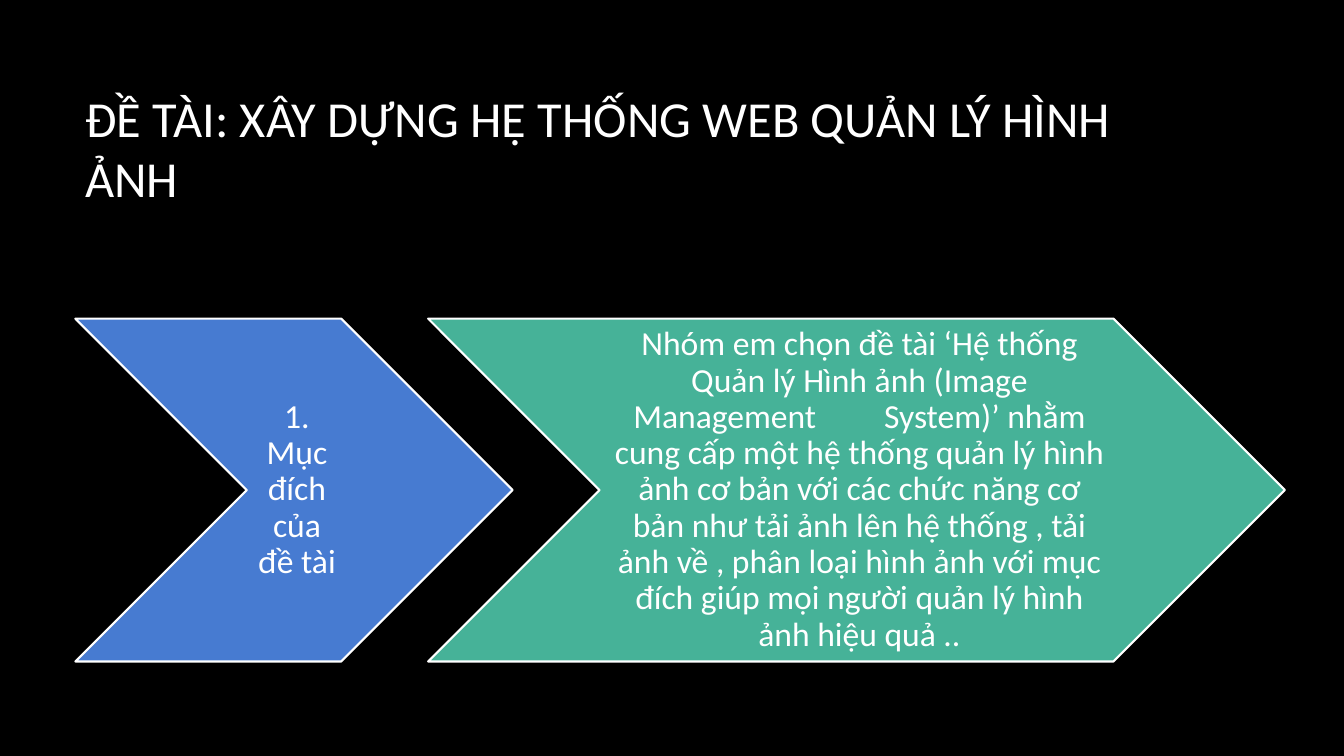
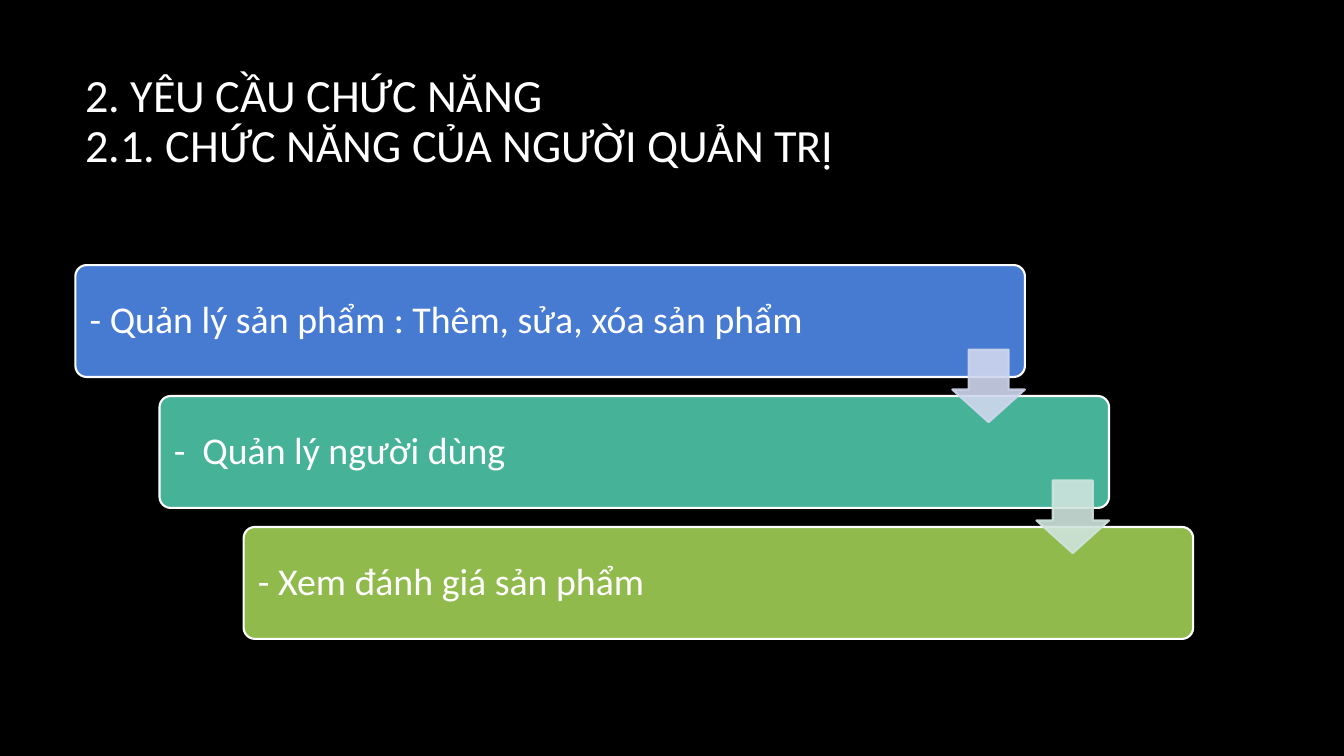
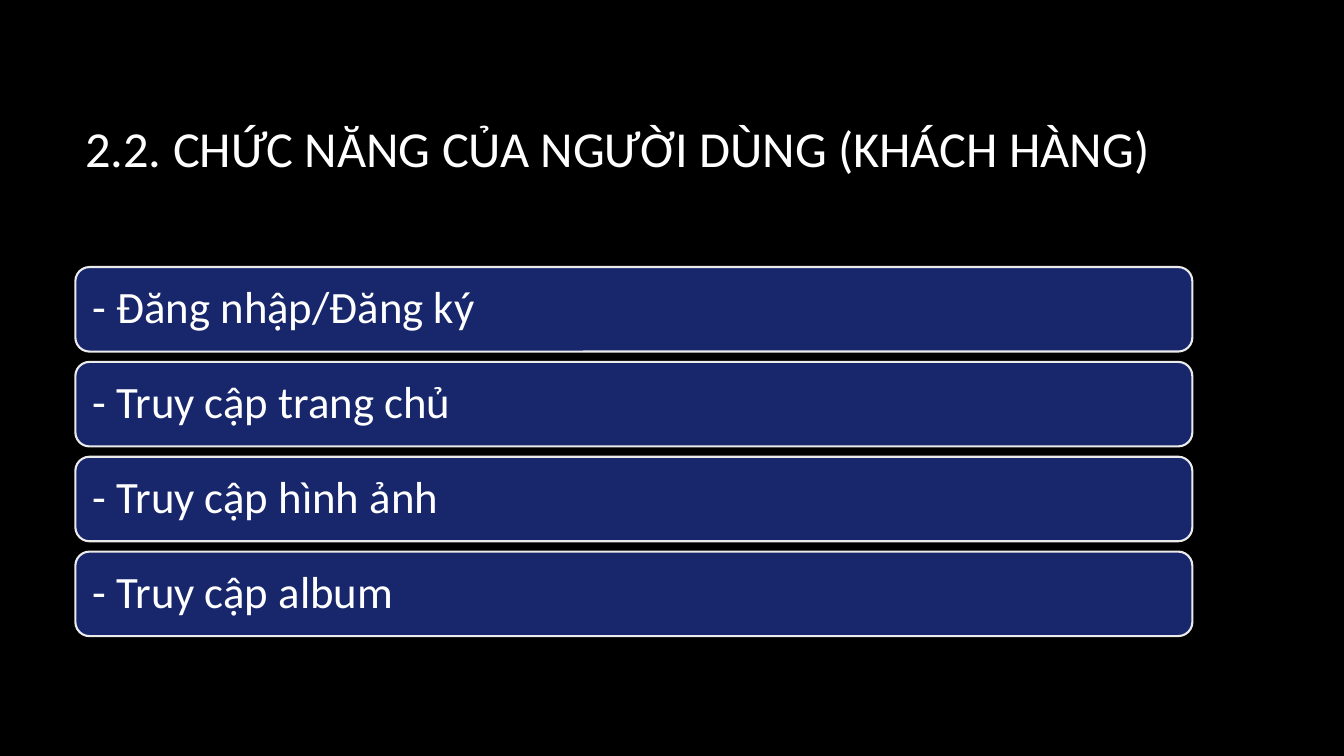
from lxml.etree import SubElement
from pptx import Presentation
from pptx.dml.color import RGBColor
from pptx.enum.shapes import MSO_SHAPE
from pptx.enum.text import MSO_ANCHOR, PP_ALIGN
from pptx.oxml.ns import qn
from pptx.util import Cm, Pt

BLACK, WHITE, PALE = "000000", "FFFFFF", "EBEBEB"
BLUE, TEAL, GREEN, NAVY = "477BD1", "46B298", "90BA4C", "18276C"
PALE_BLUE, PALE_TEAL = "CFD7EE", "CFE4DD"
LEFT, CONTENT_WIDTH = 1.9, 28.15

PURPOSE_TITLE = ("ĐỀ TÀI: XÂY DỰNG HỆ THỐNG WEB QUẢN LÝ HÌNH ẢNH",)
PURPOSE = [
    (("1. Mục đích của đề tài",), 11.02, BLUE),
    (("Nhóm em chọn đề tài ‘Hệ thống Quản lý Hình ảnh (Image Management", 43,
      "System)’ nhằm cung cấp một hệ thống quản lý hình ảnh cơ bản với các "
      "chức năng cơ bản như tải ảnh lên hệ thống , tải ảnh về , phân loại "
      "hình ảnh với mục đích giúp mọi người quản lý hình ảnh hiệu quả .."),
     21.59, TEAL),
]

ADMIN_TITLE = ("2. YÊU CẦU CHỨC NĂNG", "\n", "2.1. CHỨC NĂNG CỦA NGƯỜI QUẢN TRỊ")
ADMIN_STEPS = [
    (("- Quản lý sản phẩm : Thêm, sửa, xóa sản phẩm",), BLUE, PALE_BLUE),
    (("-", 6, "Quản lý người dùng"), TEAL, PALE_TEAL),
    (("- Xem đánh giá sản phẩm",), GREEN, None),
]

CUSTOMER_TITLE = ("2.2. CHỨC NĂNG CỦA NGƯỜI DÙNG (KHÁCH HÀNG)",)
CUSTOMER_ACTIONS = [
    ("- Đăng nhập/Đăng ký",),
    ("- Truy cập trang chủ",),
    ("- Truy cập hình ảnh",),
    ("- Truy cập album",),
]


def color(code):
    return RGBColor.from_string(code)


def apply(target, values):
    for name, value in values.items():
        setattr(target, name, value)


def margins(left, others, bottom=None):
    return {
        "margin_left": Cm(left),
        "margin_top": Cm(others),
        "margin_right": Cm(others),
        "margin_bottom": Cm(others if bottom is None else bottom),
    }


def write(frame, pieces, size, insets, align=PP_ALIGN.LEFT, spacing=0.9):
    apply(frame, {"word_wrap": True, "vertical_anchor": MSO_ANCHOR.MIDDLE, **insets})
    paragraph = frame.paragraphs[0]
    apply(paragraph, {"alignment": align, "line_spacing": spacing})
    for piece in pieces:
        if piece == "\n":
            paragraph.add_line_break()
            continue
        run = paragraph.add_run()
        run.text = piece if isinstance(piece, str) else " "
        apply(run.font, {"name": "Calibri", "size": Pt(size)})
        run.font.color.rgb = color(WHITE)
        if not isinstance(piece, str):
            run.font._element.set("spc", str(piece * 100))


def add_slide(deck, title, size=36, spacing=1.0, bottom=0.13):
    slide = deck.slides.add_slide(deck.slide_layouts[6])
    slide.background.fill.solid()
    slide.background.fill.fore_color.rgb = color(BLACK)
    heading = slide.shapes.add_textbox(Cm(LEFT), Cm(1.7), Cm(CONTENT_WIDTH), Cm(4.04))
    write(heading.text_frame, title, size, margins(0.25, 0.13, bottom), spacing=spacing)
    return slide


def add_figure(slide, kind, box, fill, line, adjustments=(), opacity=None):
    figure = slide.shapes.add_shape(kind, *(Cm(length) for length in box))
    figure.shadow.inherit = False
    for index, value in enumerate(adjustments):
        figure.adjustments[index] = value
    figure.line.width = Pt(1.5)
    for paint, code in ((figure.fill, fill), (figure.line.fill, line)):
        paint.solid()
        paint.fore_color.rgb = color(code)
    if opacity:
        for tone in list(figure._element.spPr.iter(qn("a:srgbClr"))):
            SubElement(tone, qn("a:alpha")).set("val", str(opacity * 1000))
    return figure


def build_purpose(deck):
    slide = add_slide(deck, PURPOSE_TITLE)
    top, height, overlap = 8.03, 8.64, 2.13
    left = LEFT
    for text, width, fill in PURPOSE:
        chevron = add_figure(slide, MSO_SHAPE.CHEVRON, (left, top, width, height), fill, WHITE)
        write(chevron.text_frame, text, 24, margins(0.25, 0.1), PP_ALIGN.CENTER)
        left += width - overlap


def build_admin(deck):
    slide = add_slide(deck, ADMIN_TITLE, size=33, spacing=0.9, bottom=1.4)
    top, width, height = 6.68, 23.93, 2.82
    shift, pitch = 2.12, 3.3
    arrow_size, arrow_drop = 1.83, 2.13
    arrows = []
    for index, (text, fill, arrow_fill) in enumerate(ADMIN_STEPS):
        x, y = LEFT + index * shift, top + index * pitch
        step = add_figure(slide, MSO_SHAPE.ROUNDED_RECTANGLE, (x, y, width, height),
                          fill, WHITE, (0.1,))
        write(step.text_frame, text, 27, margins(0.28, 0.28))
        if arrow_fill:
            arrows.append((x + width - arrow_size, y + arrow_drop, arrow_fill))
    for x, y, fill in arrows:
        add_figure(slide, MSO_SHAPE.DOWN_ARROW, (x, y, arrow_size, arrow_size),
                   fill, fill, (0.55, 0.45), 90)


def build_customer(deck):
    slide = add_slide(deck, CUSTOMER_TITLE)
    top, height, pitch = 6.73, 2.13, 2.39
    for index, text in enumerate(CUSTOMER_ACTIONS):
        action = add_figure(slide, MSO_SHAPE.ROUNDED_RECTANGLE,
                            (LEFT, top + index * pitch, CONTENT_WIDTH, height), NAVY, PALE)
        write(action.text_frame, text, 32, margins(0.33, 0.33))


def main():
    deck = Presentation()
    apply(deck, {"slide_width": Cm(33.87), "slide_height": Cm(19.05)})
    for build in (build_purpose, build_admin, build_customer):
        build(deck)
    deck.save("out.pptx")


if __name__ == "__main__":
    main()
